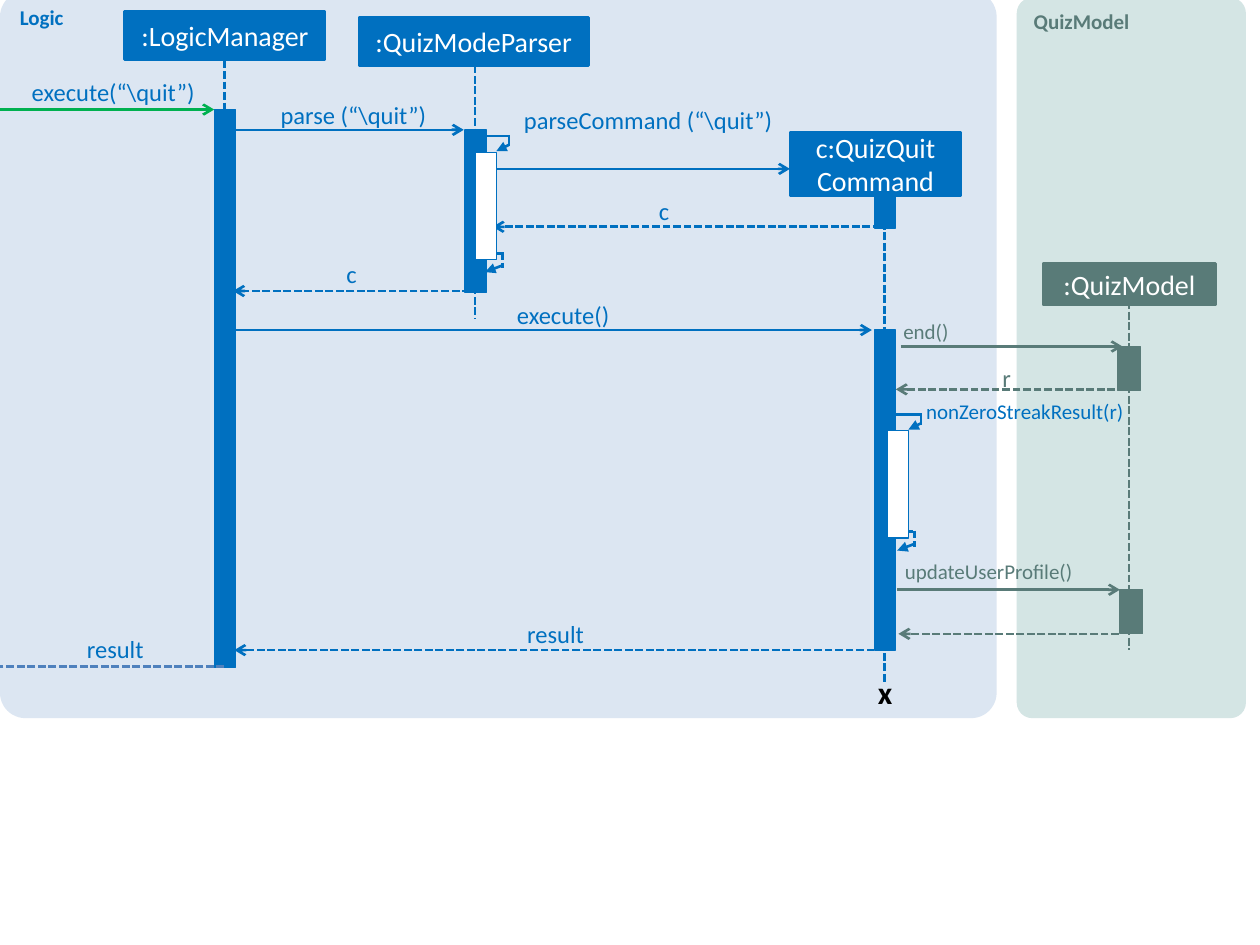
from dataclasses import dataclass

from lxml.etree import SubElement
from pptx import Presentation
from pptx.dml.color import RGBColor
from pptx.enum.dml import MSO_LINE
from pptx.enum.shapes import MSO_CONNECTOR, MSO_SHAPE
from pptx.enum.text import MSO_ANCHOR, PP_ALIGN
from pptx.oxml.ns import qn
from pptx.util import Pt

BLUE = RGBColor(0x00, 0x70, 0xC0)
PALE_BLUE = RGBColor(0xDC, 0xE6, 0xF2)
RESULT_BLUE = RGBColor(0x4F, 0x81, 0xBD)
GREEN = RGBColor(0x00, 0xB0, 0x50)
TEAL = RGBColor(0x59, 0x7B, 0x78)
PALE_TEAL = RGBColor(0xD4, 0xE5, 0xE4)
WHITE = RGBColor(0xFF, 0xFF, 0xFF)
BLACK = RGBColor(0x00, 0x00, 0x00)
FONT = "Calibri"
BAR_WIDTH = 12.2


@dataclass
class Box:
    left: float
    top: float
    width: float
    height: float

    def inner(self, left, top, width, height):
        """Return a box given relative to this one."""
        return Box(self.left + left, self.top + top, width, height)

    def lengths(self):
        return [Pt(v) for v in (self.left, self.top, self.width, self.height)]


def write(frame, text, size=14, color=BLUE, bold=False, align=PP_ALIGN.CENTER,
          anchor=MSO_ANCHOR.TOP, wrap=True, margins=None):
    frame.word_wrap = wrap
    frame.vertical_anchor = anchor
    if margins is not None:
        frame.margin_left = frame.margin_right = Pt(margins)
        frame.margin_top = frame.margin_bottom = Pt(margins)
    paragraph = frame.paragraphs[0]
    paragraph.text = text
    paragraph.alignment = align
    for run in paragraph.runs:
        run.font.name = FONT
        run.font.size = Pt(size)
        run.font.bold = bold
        run.font.color.rgb = color


def add_block(slide, box, fill, outline=None, weight=0.75, kind=MSO_SHAPE.RECTANGLE):
    block = slide.shapes.add_shape(kind, *box.lengths())
    block.shadow.inherit = False
    block.fill.solid()
    block.fill.fore_color.rgb = fill
    if outline is None:
        block.line.fill.background()
    else:
        block.line.color.rgb = outline
        block.line.width = Pt(weight)
    return block


def add_label(slide, box, text, **text_format):
    label = slide.shapes.add_textbox(*box.lengths())
    write(label.text_frame, text, **{"margins": 0, **text_format})


def add_line(slide, box, start, end, color=BLUE, dashed=False, arrow=None):
    """Draw from start to end, both relative to box; arrow is the end's head type."""
    points = [Pt(v) for x, y in (start, end) for v in (box.left + x, box.top + y)]
    line = slide.shapes.add_connector(MSO_CONNECTOR.STRAIGHT, *points)
    line.line.color.rgb = color
    line.line.width = Pt(1.5)
    if dashed:
        line.line.dash_style = MSO_LINE.SQUARE_DOT
    if arrow:
        SubElement(line.line._get_or_add_ln(), qn("a:tailEnd"), type=arrow)
    SubElement(line._element.spPr, qn("a:effectLst"))


def add_messages(slide, box, messages):
    for start, end, y, color, dashed, arrow in messages:
        add_line(slide, box, (start, y), (end, y), color, dashed, arrow)


def add_panel(slide, box, title, fill, color, corner):
    panel = add_block(slide, box, fill, kind=MSO_SHAPE.ROUNDED_RECTANGLE)
    panel.adjustments[0] = corner
    write(panel.text_frame, title, size=12, color=color, bold=True, align=PP_ALIGN.LEFT)


def add_participant(slide, box, name, head, lifeline, bars, color=BLUE):
    """Stack lifeline (x, top, bottom), activation bars and the head box."""
    x, top, bottom = lifeline
    add_line(slide, box, (x, top), (x, bottom), color, dashed=True)
    for bar in bars:
        add_block(slide, box.inner(*bar), color, color)
    block = add_block(slide, box.inner(*head), color, color, weight=1.5)
    write(block.text_frame, name, size=16, color=WHITE, anchor=MSO_ANCHOR.MIDDLE)


def add_self_call(slide, box):
    """Put the nested activation in box, with its call hook and return hook."""
    call = [((5, -9.4), (19.4, -9.4)), ((19.4, -10), (19.4, -3.6)),
            ((19.4, -4.3), (12.2, -0.7))]
    reply = [((-1.4, 57.6), (15.8, 57.6)), ((15.8, 57), (15.8, 66.2)),
             ((15.1, 64.8), (5.8, 68.4))]

    def add_hook(segments, dashed):
        for segment in segments:
            arrow = "triangle" if segment == segments[-1] else None
            add_line(slide, box, *segment, dashed=dashed, arrow=arrow)

    add_hook(reply, True)
    add_block(slide, box, WHITE, BLUE)
    add_hook(call, False)


def add_logic(slide, box):
    add_panel(slide, box, "Logic", PALE_BLUE, BLUE, 0.035)
    add_participant(slide, box, ":LogicManager", (71.3, 11.5, 114.5, 27.4),
                    (128.2, 39.6, 376.5), [(122.4, 67.6, BAR_WIDTH, 319)])
    add_participant(slide, box, ":QuizModeParser", (205.2, 15.1, 131, 27.4),
                    (271.4, 42.4, 187.2), [(265.7, 79.2, BAR_WIDTH, 92.9)])
    add_participant(slide, box, "c:QuizQuit\nCommand", (451.4, 80.6, 97.9, 36),
                    (505.4, 113.7, 395.2),
                    [(499.7, 113.7, BAR_WIDTH, 21.6), (499.7, 193.6, BAR_WIDTH, 182.9)])
    add_messages(slide, box, [
        (0, 122.4, 67.6, GREEN, False, "arrow"),
        (134.6, 265, 79.2, BLUE, False, "arrow"),
        (281.5, 451.4, 101.5, BLUE, False, "arrow"),
        (503.3, 281.5, 134.6, BLUE, True, "arrow"),
        (268.6, 133.2, 171.3, BLUE, True, "arrow"),
        (133.2, 498.2, 193.6, BLUE, False, "arrow"),
        (499.7, 133.9, 376.5, BLUE, True, "arrow"),
        (128.2, 0, 385.9, RESULT_BLUE, True, None),
    ])
    for left, top in ((271.4, 92.1), (506.9, 251.2)):
        add_self_call(slide, box.inner(left, top, BAR_WIDTH, 61.2))
    for text, left, top, width in (
        ("execute(“\\quit”)", 8.6, 48.9, 112.3),
        ("parse (“\\quit”)", 148.3, 61.9, 107.3),
        ("parseCommand (“\\quit”)", 287.3, 64.8, 166.3),
        ("c", 348.5, 117.3, 61.9),
        ("c", 169.9, 153.3, 61.9),
        ("execute()", 288, 176.4, 67.7),
        ("result", 293, 358.5, 49),
        ("result", 36, 367.2, 59.8),
    ):
        add_label(slide, box.inner(left, top, width, 17.3), text)
    add_label(slide, box.inner(494.6, 385.9, 22.3, 28.8), "x", size=18, color=BLACK,
              bold=True, align=PP_ALIGN.LEFT, wrap=False, margins=None)


def add_model(slide, box):
    add_panel(slide, box, "QuizModel", PALE_TEAL, TEAL, 0.068)
    add_participant(slide, box, ":QuizModel", (15.1, 151.9, 98.6, 23.8),
                    (64.1, 173.5, 373),
                    [(57.6, 199.4, 13, 25.2), (59, 338.4, 13, 25.2)], TEAL)


def add_model_exchange(slide, box):
    """Messages between the quit command and the model."""
    add_messages(slide, box, [
        (3.8, 130.5, 16, TEAL, False, "arrow"),
        (126.2, 0.9, 40.5, TEAL, True, "arrow"),
        (1.6, 129, 155, TEAL, False, "arrow"),
        (128.4, 2.4, 180.2, TEAL, True, "arrow"),
    ])
    for text, left, top, width, color in (
        ("end()", 5.2, 0.2, 105, TEAL),
        ("nonZeroStreakResult(r)", 18.2, 45.5, 189, BLUE),
        ("updateUserProfile()", 6, 137, 131, TEAL),
    ):
        add_label(slide, box.inner(left, top, width, 14.4), text, size=12,
                  color=color, align=PP_ALIGN.LEFT)
    add_label(slide, box.inner(33.3, 25.4, 62, 17.3), "r", color=TEAL)


def main():
    deck = Presentation()
    deck.slide_width, deck.slide_height = Pt(720), Pt(540)
    slide = deck.slides.add_slide(deck.slide_layouts[6])
    add_model(slide, Box(581, -1.4, 131, 411.8))
    add_logic(slide, Box(0, -5, 569.5, 415.4))
    add_model_exchange(slide, Box(511, 182, 131, 182))
    deck.save("out.pptx")


if __name__ == "__main__":
    main()
